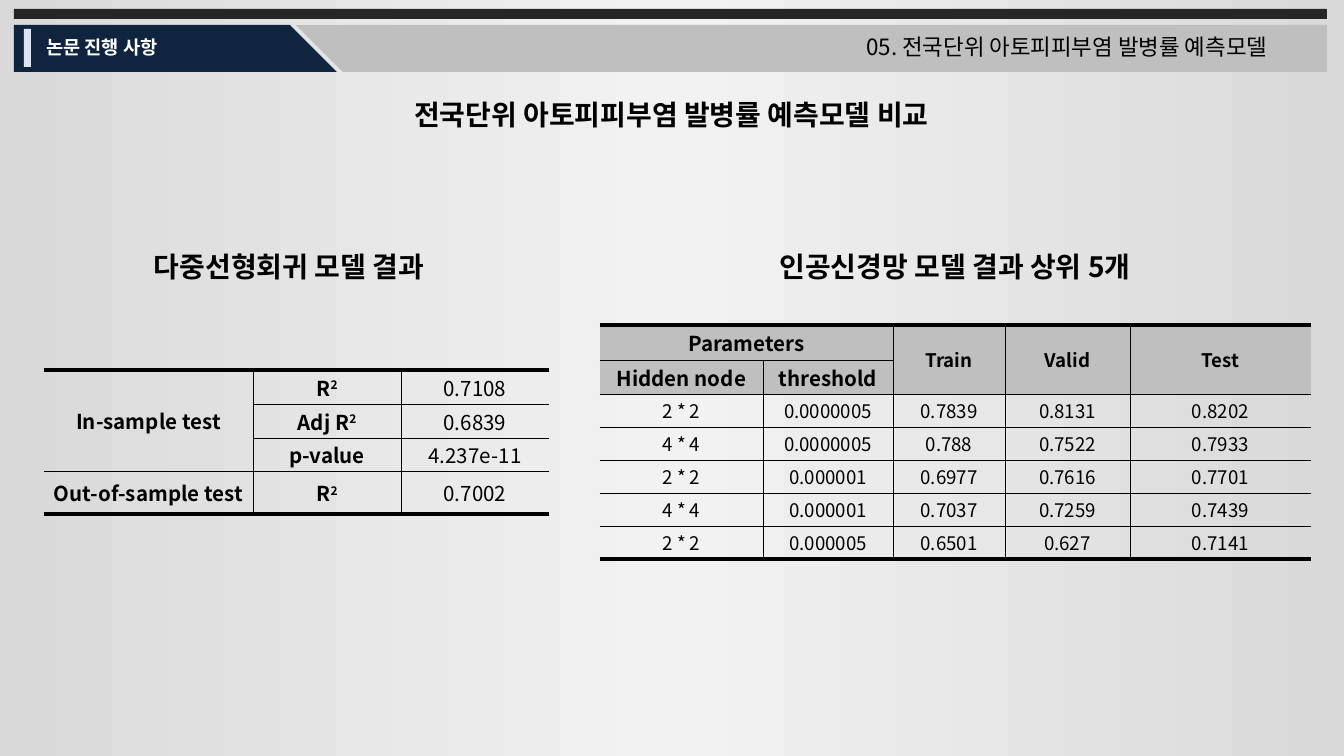
from lxml import etree
from copy import deepcopy
from pptx import Presentation
from pptx.dml.color import RGBColor
from pptx.enum.shapes import MSO_SHAPE
from pptx.enum.text import MSO_ANCHOR, MSO_AUTO_SIZE, PP_ALIGN
from pptx.oxml.ns import qn
from pptx.util import Pt

PX = 6804  # EMU in one px
FONT = "Noto Sans CJK KR"
NO_STYLE = "{2D5ABB26-0587-4C30-8999-92F81FD0307C}"
RECTANGLE, TRIANGLE = MSO_SHAPE.RECTANGLE, MSO_SHAPE.RIGHT_TRIANGLE
LEFT, CENTER = PP_ALIGN.LEFT, PP_ALIGN.CENTER
MIDDLE = MSO_ANCHOR.MIDDLE
NO_AUTOFIT = MSO_AUTO_SIZE.NONE

BLACK = RGBColor(0x00, 0x00, 0x00)
WHITE = RGBColor(0xFF, 0xFF, 0xFF)
CHARCOAL = RGBColor(0x26, 0x26, 0x26)
NAVY = RGBColor(0x0F, 0x24, 0x3E)
SILVER = RGBColor(0xBF, 0xBF, 0xBF)
PALE_BLUE = RGBColor(0xDC, 0xE6, 0xF2)
EDGE_GRAY = RGBColor(0xD9, 0xD9, 0xD9)
MIDDLE_GRAY = RGBColor(0xF2, 0xF2, 0xF2)

THIN, HEAVY = Pt(0.28), Pt(2.25)

REGRESSION_ROWS = [
    ["In-sample test", "R^2", "0.7108"],
    ["", "Adj R^2", "0.6839"],
    ["", "p-value", "4.237e-11"],
    ["Out-of-sample test", "R^2", "0.7002"],
]
NETWORK_ROWS = [
    ["Parameters", "", "Train", "Valid", "Test"],
    ["Hidden node", "threshold", "", "", ""],
    ["2 * 2", "0.0000005", "0.7839", "0.8131", "0.8202"],
    ["4 * 4", "0.0000005", "0.788", "0.7522", "0.7933"],
    ["2 * 2", "0.000001", "0.6977", "0.7616", "0.7701"],
    ["4 * 4", "0.000001", "0.7037", "0.7259", "0.7439"],
    ["2 * 2", "0.000005", "0.6501", "0.627", "0.7141"],
]


def px(*lengths):
    return [length * PX for length in lengths]


def format_run(run, size, bold, color):
    font = run.font
    font.size, font.bold, font.name = Pt(size), bold, FONT
    font.color.rgb = color
    latin = run._r.get_or_add_rPr().find(qn("a:latin"))
    east_asian = etree.Element(qn("a:ea"), typeface=FONT)
    latin.addnext(east_asian)


def write_line(shape, text, size, bold=True, color=BLACK, align=CENTER):
    frame = shape.text_frame
    frame.text = text
    frame.word_wrap = True
    frame.auto_size = NO_AUTOFIT
    paragraph = frame.paragraphs[0]
    paragraph.alignment = align
    format_run(paragraph.runs[0], size, bold, color)


def add_block(slide, kind, box, color):
    shape = slide.shapes.add_shape(kind, *px(*box))
    shape.shadow.inherit = False
    shape.fill.solid()
    shape.fill.fore_color.rgb = color
    shape.line.fill.background()
    return shape


def add_label(slide, box, text, size, **style):
    write_line(slide.shapes.add_textbox(*px(*box)), text, size, **style)


def paint_background(slide):
    fill = slide.background.fill
    fill.gradient()
    fill.gradient_angle = 0
    stop_list = slide.element.find(".//" + qn("a:gsLst"))
    stop_list.insert(1, deepcopy(stop_list[0]))
    colors = (EDGE_GRAY, MIDDLE_GRAY, EDGE_GRAY)
    for stop, position, color in zip(fill.gradient_stops, (0, 0.5, 1), colors):
        stop.position = position
        stop.color.rgb = color


def add_header(slide, left, top, width):
    band_top, band_height, tab_width, gap = top + 16, 47, 276, 6
    slope_left = left + tab_width
    band_left = slope_left + gap + band_height
    add_block(slide, RECTANGLE, (left, top, width, 10), CHARCOAL)
    add_block(slide, RECTANGLE, (left, band_top, tab_width, band_height), NAVY)
    add_block(slide, TRIANGLE, (slope_left, band_top, band_height, band_height), NAVY)
    add_block(slide, RECTANGLE,
              (band_left, band_top, left + width - band_left, band_height), SILVER)
    slope = add_block(slide, TRIANGLE,
                      (slope_left + gap, band_top, band_height, band_height), SILVER)
    slope.rotation = 180
    add_block(slide, RECTANGLE, (left + 10, band_top + 4, 7, 38), PALE_BLUE)
    add_label(slide, (left + 19, band_top + 4, 200, 36), "논문 진행 사항", 10,
              color=WHITE, align=LEFT)
    add_label(slide, (left + width - 474, band_top + 2, 474, 40),
              "05. 전국단위 아토피피부염 발병률 예측모델", 12, bold=False, align=LEFT)


def add_title(slide, box):
    title = slide.shapes.title
    title.left, title.top, title.width, title.height = px(*box)
    write_line(title, "전국단위 아토피피부염 발병률 예측모델 비교", 15)


def set_border(cell, side, width):
    """Draw one side of a cell, or clear it when width is 0."""
    properties = cell._tc.get_or_add_tcPr()
    line = etree.SubElement(properties, qn("a:ln" + side), w=str(width))
    if width:
        fill = etree.SubElement(line, qn("a:solidFill"))
        etree.SubElement(fill, qn("a:srgbClr"), val=str(BLACK))
    else:
        etree.SubElement(line, qn("a:noFill"))


def write_cell(cell, text, size, bold):
    """Write text, raising whatever follows a caret."""
    paragraph = cell.text_frame.paragraphs[0]
    paragraph.alignment = CENTER
    for index, part in enumerate(text.split("^")):
        run = paragraph.add_run()
        run.text = part
        format_run(run, size, bold, BLACK)
        if index:
            run._r.get_or_add_rPr().set("baseline", "30000")


def add_result_table(slide, left, top, widths, heights, rows, merges, style, header_rows=0):
    """Place a table; style(row, column) gives text size and boldness."""
    row_count, column_count = len(heights), len(widths)
    frame = slide.shapes.add_table(row_count, column_count,
                                   *px(left, top, sum(widths), sum(heights)))
    table = frame.table
    table.first_row = table.horz_banding = False
    table._tbl.tblPr.find(qn("a:tableStyleId")).text = NO_STYLE
    for column, width in zip(table.columns, px(*widths)):
        column.width = width
    for row, height in zip(table.rows, px(*heights)):
        row.height = height
    for first, last in merges:
        table.cell(*first).merge(table.cell(*last))

    for r, texts in enumerate(rows):
        for c, text in enumerate(texts):
            cell = table.cell(r, c)
            if cell.is_spanned:
                continue
            span_height = cell.span_height if cell.is_merge_origin else 1
            span_width = cell.span_width if cell.is_merge_origin else 1
            set_border(cell, "L", THIN if c else 0)
            set_border(cell, "R", THIN if c + span_width < column_count else 0)
            set_border(cell, "T", THIN if r else HEAVY)
            set_border(cell, "B", THIN if r + span_height < row_count else HEAVY)
            if r < header_rows:
                cell.fill.solid()
                cell.fill.fore_color.rgb = SILVER
            else:
                cell.fill.background()
            cell.margin_left = cell.margin_right = PX
            cell.margin_top = cell.margin_bottom = 0
            cell.vertical_anchor = MIDDLE
            write_cell(cell, text, *style(r, c))


def add_regression_results(slide, left, top):
    add_label(slide, (left + 81, top, 328, 47), "다중선형회귀 모델 결과", 15)
    add_result_table(slide, left, top + 127, [209, 148, 148], [34, 34, 33, 43],
                     REGRESSION_ROWS, [((0, 0), (2, 0))],
                     lambda row, column: (11, column < 2))


def add_network_results(slide, left, top):
    add_label(slide, (left + 143, top, 424, 47), "인공신경망 모델 결과 상위 5개", 15)
    merges = [((0, 0), (0, 1))] + [((0, c), (1, c)) for c in (2, 3, 4)]
    add_result_table(slide, left, top + 82, [163, 130, 112, 125, 181],
                     [35, 34] + [33] * 5, NETWORK_ROWS, merges,
                     lambda row, column: (11 if row < 2 and column < 2 else 10, row < 2),
                     header_rows=2)


def main():
    presentation = Presentation()
    presentation.slide_width, presentation.slide_height = px(1344, 756)
    slide = presentation.slides.add_slide(presentation.slide_layouts[5])
    paint_background(slide)
    add_header(slide, 14, 9, 1313)
    add_title(slide, (241, 91, 861, 47))
    add_regression_results(slide, 44, 243)
    add_network_results(slide, 600, 243)
    presentation.save("out.pptx")


if __name__ == "__main__":
    main()
